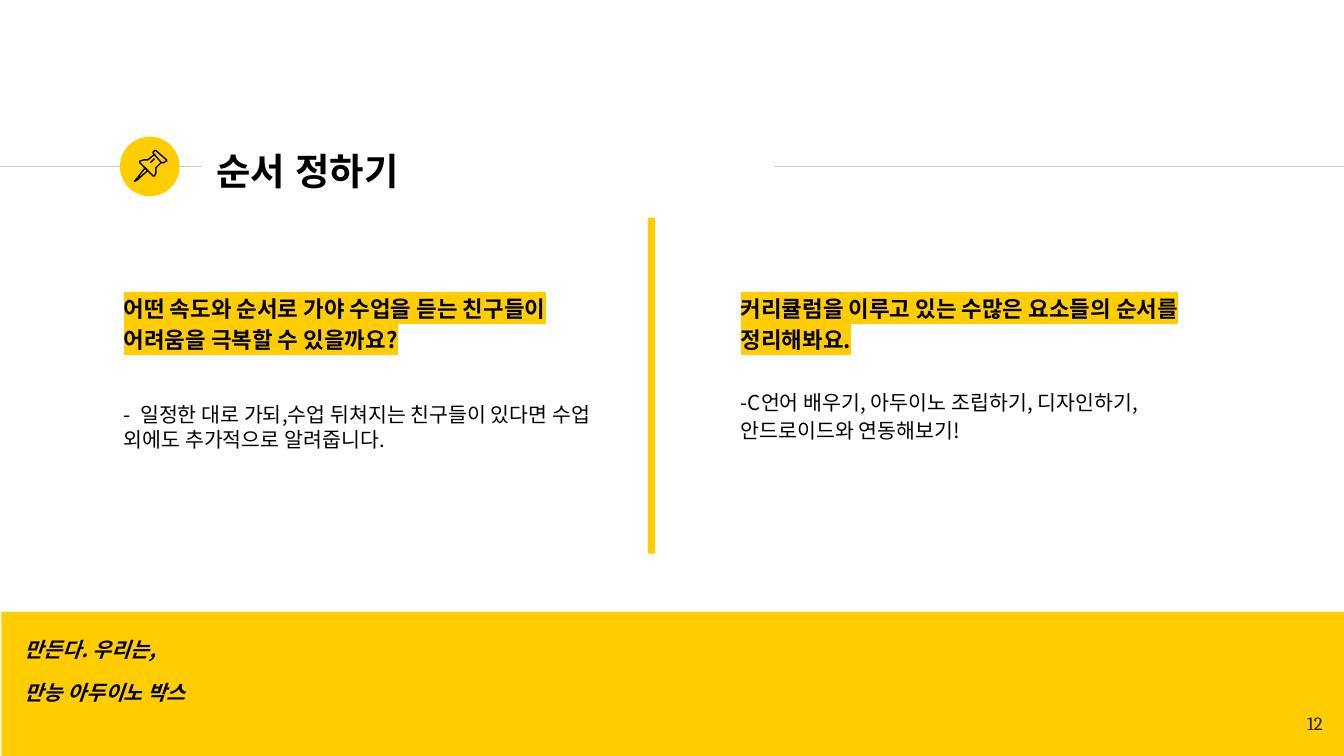
from lxml import etree
from pptx import Presentation
from pptx.dml.color import RGBColor
from pptx.enum.shapes import MSO_CONNECTOR, MSO_SHAPE
from pptx.enum.text import MSO_ANCHOR, PP_ALIGN
from pptx.oxml.ns import qn
from pptx.util import Inches, Pt

STRAIGHT = MSO_CONNECTOR.STRAIGHT
RECTANGLE, OVAL = MSO_SHAPE.RECTANGLE, MSO_SHAPE.OVAL
TOP, MIDDLE = MSO_ANCHOR.TOP, MSO_ANCHOR.MIDDLE
LEFT, RIGHT = PP_ALIGN.LEFT, PP_ALIGN.RIGHT
YELLOW, GREY, BLACK, INK = "FFCD00", "CCCCCC", "000000", "1D1D1B"
KOREAN = "Noto Sans CJK KR"


def color(value):
    return RGBColor.from_string(value)


def grid(*cells):
    return [Inches(cell / 10) for cell in cells]


class SlideBuilder:
    def __init__(self, page):
        self.page = page
        self.shapes = page.shapes

    def line(self, start, end, row):
        connector = self.shapes.add_connector(STRAIGHT, *grid(start, row, end, row))
        connector.line.color.rgb = color(GREY)
        connector.line.width = Pt(0.75)
        etree.SubElement(connector._element.spPr, qn("a:effectLst"))

    def block(self, kind, *cells):
        shape = self.shapes.add_shape(kind, *grid(*cells))
        shape.shadow.inherit = False
        shape.fill.solid()
        shape.fill.fore_color.rgb = color(YELLOW)
        shape.line.fill.background()

    def outline(self, points, closed=False):
        builder = self.shapes.build_freeform(*points[0], scale=Inches(0.01))
        builder.add_line_segments(points[1:], close=closed)
        shape = builder.convert_to_shape()
        shape.shadow.inherit = False
        shape.fill.background()
        shape.line.color.rgb = color(BLACK)
        shape.line.width = Pt(0.75)

    def frame(self, box, anchor=TOP):
        frame = box.text_frame
        frame.word_wrap = True
        frame.vertical_anchor = anchor
        frame.margin_left = frame.margin_right = Inches(0.1)
        frame.margin_top = frame.margin_bottom = Inches(0.1)
        return frame

    def format(self, span, size, face=KOREAN, ink=BLACK, bold=False,
               italic=False, highlight=None):
        font = span.font
        font.size, font.bold, font.italic = Pt(size), bold, italic
        font.color.rgb = color(ink)
        font.name = face
        properties = span._r.get_or_add_rPr()
        latin = properties.find(qn("a:latin"))
        east_asian = etree.Element(qn("a:ea"), typeface=face)
        latin.addnext(east_asian)
        if highlight:
            mark = etree.Element(qn("a:highlight"))
            etree.SubElement(mark, qn("a:srgbClr"), val=highlight)
            latin.addprevious(mark)

    def title(self, text, *cells):
        box = self.shapes.title
        box.left, box.top, box.width, box.height = grid(*cells)
        frame = self.frame(box, MIDDLE)
        frame.text = text
        para = frame.paragraphs[0]
        para.alignment = LEFT
        para.line_spacing = 1.15
        self.format(para.runs[0], 20, "Noto Sans", bold=True)

    def text(self, cells, paragraphs, align=LEFT):
        frame = self.frame(self.shapes.add_textbox(*grid(*cells)))
        frame.text = "\n".join(text for text, *_ in paragraphs)
        for para, (_, before, leading, style) in zip(frame.paragraphs, paragraphs):
            para.alignment = align
            para.space_before = Pt(before)
            if leading:
                para.line_spacing = Pt(leading)
            self.format(para.runs[0], **style)

    def column(self, left, heading, body, gap, leading):
        heading_style = dict(size=12, bold=True, highlight=YELLOW)
        paragraphs = [(heading, 0, 16.6, heading_style)]
        for number, text in enumerate(body):
            before = 0 if number else gap
            paragraphs.append((text, before, leading, dict(size=11)))
        self.text((left, 20.65, 36.8, 24.1), paragraphs)

    def pin(self):
        needle = [(108, 125), (101, 134), (100, 135), (102, 134), (110, 127)]
        head = [(115, 115), (120, 121), (122, 121), (123, 120), (124, 120),
                (124, 119), (116, 112), (115, 112), (114, 113), (114, 114)]
        body = [(115, 115), (110, 119), (107, 119), (104, 120), (104, 121),
                (114, 131), (115, 131), (116, 129), (116, 125), (120, 121)]
        self.outline(needle, closed=True)
        self.outline(head, closed=True)
        self.outline(body)
        self.outline([(112, 121), (115, 118)])


def main():
    deck = Presentation()
    deck.slide_width, deck.slide_height = Inches(10), Inches(5.625)
    slide = SlideBuilder(deck.slides.add_slide(deck.slide_layouts[5]))

    slide.line(0, 15, 12.4)
    slide.line(57.6, 100, 12.4)
    slide.block(OVAL, 8.93, 10.17, 4.44, 4.44)
    slide.block(RECTANGLE, 0.1, 45.53, 100, 10.72)
    slide.title("순서 정하기", 15.1, 10.05, 42.4, 4.8)
    slide.pin()

    slide.column(
        8.22, "어떤 속도와 순서로 가야 수업을 듣는 친구들이 어려움을 극복할 수 있을까요?",
        ["-  일정한 대로 가되,수업 뒤쳐지는 친구들이 있다면 수업 외에도 추가적으로 알려줍니다."],
        25.8, 13.4)
    slide.column(
        54.13, "커리큘럼을 이루고 있는 수많은 요소들의 순서를 정리해봐요.",
        ["-C언어 배우기, 아두이노 조립하기, 디자인하기,", "안드로이드와 연동해보기!"],
        17.9, 15)

    slogan = dict(size=11, bold=True, italic=True)
    slide.text((0.85, 46.4, 85.8, 9),
               [("만든다. 우리는,", 0, 13.4, slogan),
                ("만능 아두이노 박스", 9.5, 13.4, slogan)])
    slide.text((93.4, 52.1, 6, 4.15),
               [("12", 0, None, dict(size=10, face="Cambria", ink=INK))], RIGHT)
    slide.block(RECTANGLE, 48.2, 16.2, 0.54, 25)
    deck.save("out.pptx")


if __name__ == "__main__":
    main()
